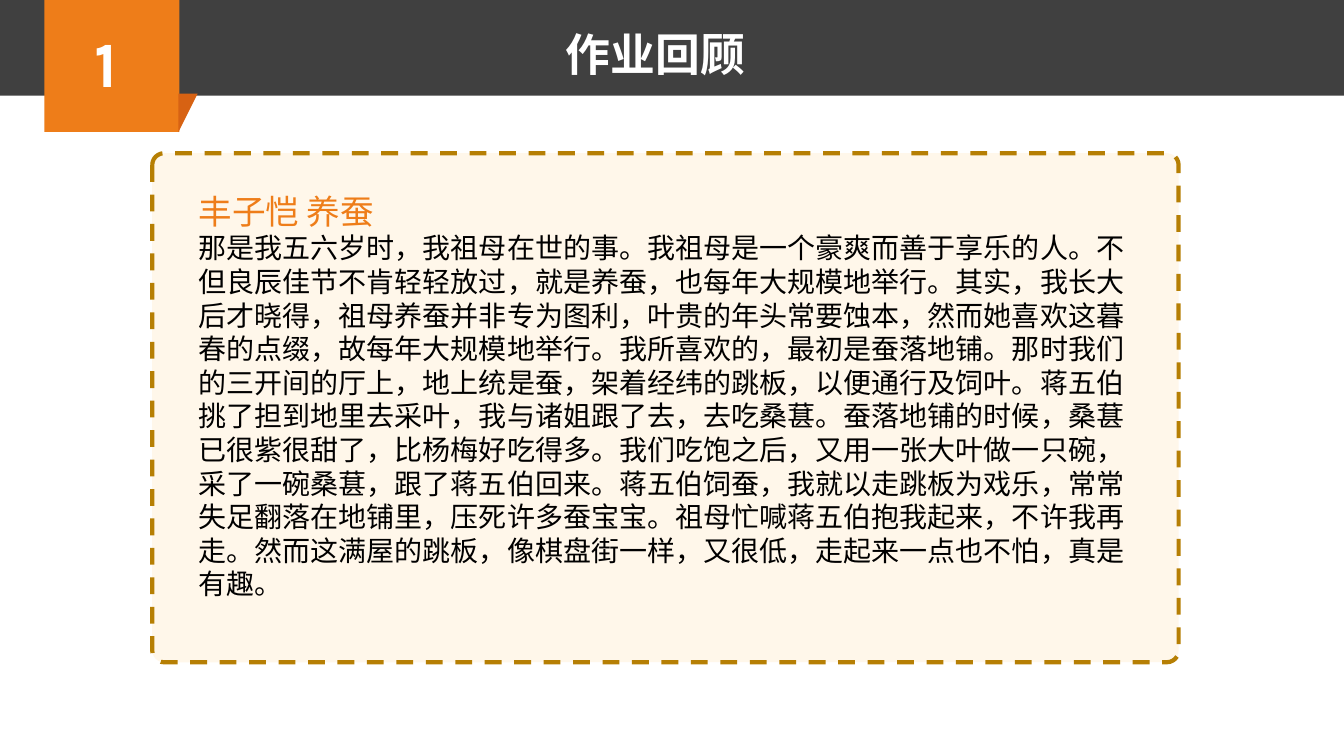
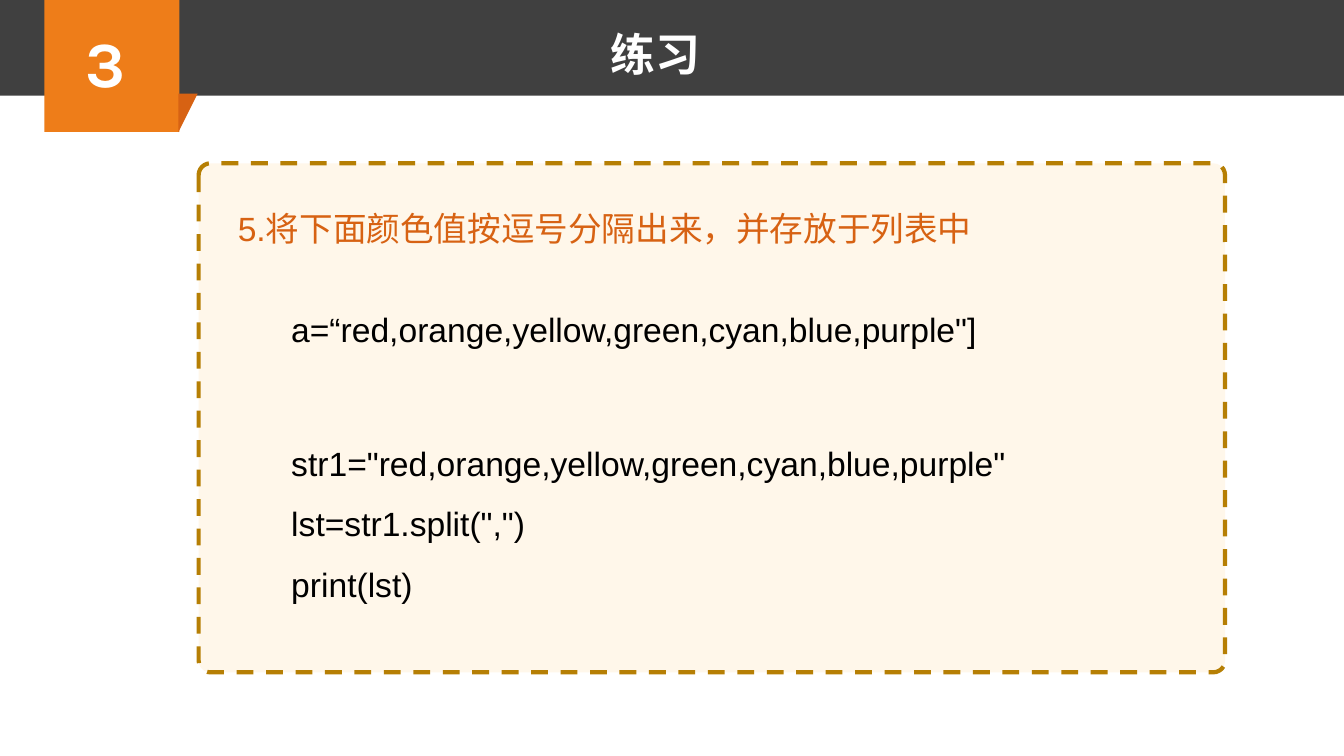
from lxml import etree
from pptx import Presentation
from pptx.dml.color import RGBColor
from pptx.enum.dml import MSO_LINE
from pptx.enum.shapes import MSO_SHAPE
from pptx.enum.text import PP_ALIGN
from pptx.oxml.ns import qn
from pptx.util import Inches, Pt

RECT = MSO_SHAPE.RECTANGLE
ROUND_RECT = MSO_SHAPE.ROUNDED_RECTANGLE
TRIANGLE = MSO_SHAPE.RIGHT_TRIANGLE
DASH = MSO_LINE.DASH
LEFT, CENTER = PP_ALIGN.LEFT, PP_ALIGN.CENTER

WHITE = RGBColor(0xFF, 0xFF, 0xFF)
BLACK = RGBColor(0x00, 0x00, 0x00)
BAND_GREY = RGBColor(0x40, 0x40, 0x40)
BADGE_ORANGE = RGBColor(0xEE, 0x7D, 0x19)
DARK_ORANGE = RGBColor(0xD7, 0x62, 0x13)
PANEL_CREAM = RGBColor(0xFF, 0xF7, 0xEA)
PANEL_BORDER = RGBColor(0xB6, 0x7F, 0x04)

BODY_FONT = "Arial"
NUMBER_FONT = "Karla"
CJK_FONT = "Noto Sans CJK SC"

SLIDE_W, SLIDE_H = 13.33, 7.5
BADGE_X, BADGE_W, BADGE_H = 0.44, 1.34, 1.31
FOLD_X, FOLD_Y, FOLD_W, FOLD_H = 1.77, 0.93, 0.19, 0.38
TITLE_W, TITLE_CENTER = 4, 6.5

STORY_TITLE = "丰子恺 养蚕"
STORY = (
    "那是我五六岁时，我祖母在世的事。我祖母是一个豪爽而善于享乐的人。"
    "不但良辰佳节不肯轻轻放过，就是养蚕，也每年大规模地举行。"
    "其实，我长大后才晓得，祖母养蚕并非专为图利，叶贵的年头常要蚀本，"
    "然而她喜欢这暮春的点缀，故每年大规模地举行。"
    "我所喜欢的，最初是蚕落地铺。那时我们的三开间的厅上，地上统是蚕，"
    "架着经纬的跳板，以便通行及饲叶。"
    "蒋五伯挑了担到地里去采叶，我与诸姐跟了去，去吃桑葚。"
    "蚕落地铺的时候，桑葚已很紫很甜了，比杨梅好吃得多。"
    "我们吃饱之后，又用一张大叶做一只碗，采了一碗桑葚，跟了蒋五伯回来。"
    "蒋五伯饲蚕，我就以走跳板为戏乐，常常失足翻落在地铺里，压死许多蚕宝宝。"
    "祖母忙喊蒋五伯抱我起来，不许我再走。"
    "然而这满屋的跳板，像棋盘街一样，又很低，走起来一点也不怕，真是有趣。"
)
QUESTION = "5.将下面颜色值按逗号分隔出来，并存放于列表中"
GIVEN = ['a=“red,orange,yellow,green,cyan,blue,purple"]']
ANSWER = [
    'str1="red,orange,yellow,green,cyan,blue,purple"',
    'lst=str1.split(",")',
    "print(lst)",
]


def add_box(s, kind, x, y, w, h, fill):
    sp = s.shapes.add_shape(kind, Inches(x), Inches(y), Inches(w), Inches(h))
    sp.shadow.inherit = False
    sp.fill.solid()
    sp.fill.fore_color.rgb = fill
    sp.line.fill.background()
    return sp


def add_text_frame(s, x, y, w, h):
    tb = s.shapes.add_textbox(Inches(x), Inches(y), Inches(w), Inches(h))
    tf = tb.text_frame
    tf.word_wrap = True
    return tf


def style_paragraph(p, size, color, spacing=None, font=BODY_FONT,
                    bold=False, align=LEFT):
    p.alignment = align
    p.line_spacing = spacing
    for r in p.runs:
        r.font.size = Pt(size)
        r.font.bold = bold
        r.font.color.rgb = color
        r.font.name = font
        ea = etree.SubElement(r.font._element, qn("a:ea"))
        ea.set("typeface", CJK_FONT)


def add_header(s, number, title):
    add_box(s, RECT, 0, 0, SLIDE_W, 0.95, BAND_GREY)
    add_box(s, RECT, BADGE_X, 0, BADGE_W, BADGE_H, BADGE_ORANGE)
    # A quarter turn swaps the sides, so the fold is placed by its centre.
    fold = add_box(s, TRIANGLE, FOLD_X + (FOLD_W - FOLD_H) / 2,
                   FOLD_Y + (FOLD_H - FOLD_W) / 2, FOLD_H, FOLD_W, DARK_ORANGE)
    fold.rotation = 90

    tf = add_text_frame(s, BADGE_X - 0.06, 0.18, BADGE_W, 0.9)
    tf.text = number
    style_paragraph(tf.paragraphs[0], 46, WHITE, font=NUMBER_FONT,
                    bold=True, align=CENTER)

    tf = add_text_frame(s, TITLE_CENTER - TITLE_W / 2, 0.18, TITLE_W, 0.64)
    tf.text = title
    style_paragraph(tf.paragraphs[0], 32, WHITE, Pt(41), bold=True, align=CENTER)


def add_panel(s, x, y):
    panel = add_box(s, ROUND_RECT, x, y, 10.18, 5.05, PANEL_CREAM)
    panel.adjustments[0] = 0.023
    panel.line.color.rgb = PANEL_BORDER
    panel.line.width = Pt(3)
    panel.line.dash_style = DASH


def add_code(s, x, y, w, h, lines):
    tf = add_text_frame(s, x, y, w, h)
    tf.text = "\n".join(lines)
    for p in tf.paragraphs:
        style_paragraph(p, 24, BLACK, 1.5)


def add_review_slide(s):
    add_header(s, "1", "作业回顾")
    add_panel(s, 1.51, 1.52)
    tf = add_text_frame(s, 1.87, 1.81, 9.39, 4.21)
    tf.text = STORY_TITLE + "\n" + STORY
    heading, story = tf.paragraphs
    style_paragraph(heading, 24, BADGE_ORANGE, Pt(31))
    style_paragraph(story, 20, BLACK, Pt(24))


def add_exercise_slide(s):
    add_header(s, "3", "练习")
    add_panel(s, 1.97, 1.62)
    tf = add_text_frame(s, 2.26, 2.02, 7.55, 0.9)
    tf.text = QUESTION
    style_paragraph(tf.paragraphs[0], 24, DARK_ORANGE, Pt(28))
    add_code(s, 2.79, 2.82, 8.53, 0.63, GIVEN)
    add_code(s, 2.79, 4.14, 8.25, 1.92, ANSWER)


def main():
    prs = Presentation()
    prs.slide_width, prs.slide_height = Inches(SLIDE_W), Inches(SLIDE_H)
    blank = prs.slide_layouts[6]
    for build in (add_review_slide, add_exercise_slide):
        build(prs.slides.add_slide(blank))
    prs.save("out.pptx")


if __name__ == "__main__":
    main()
